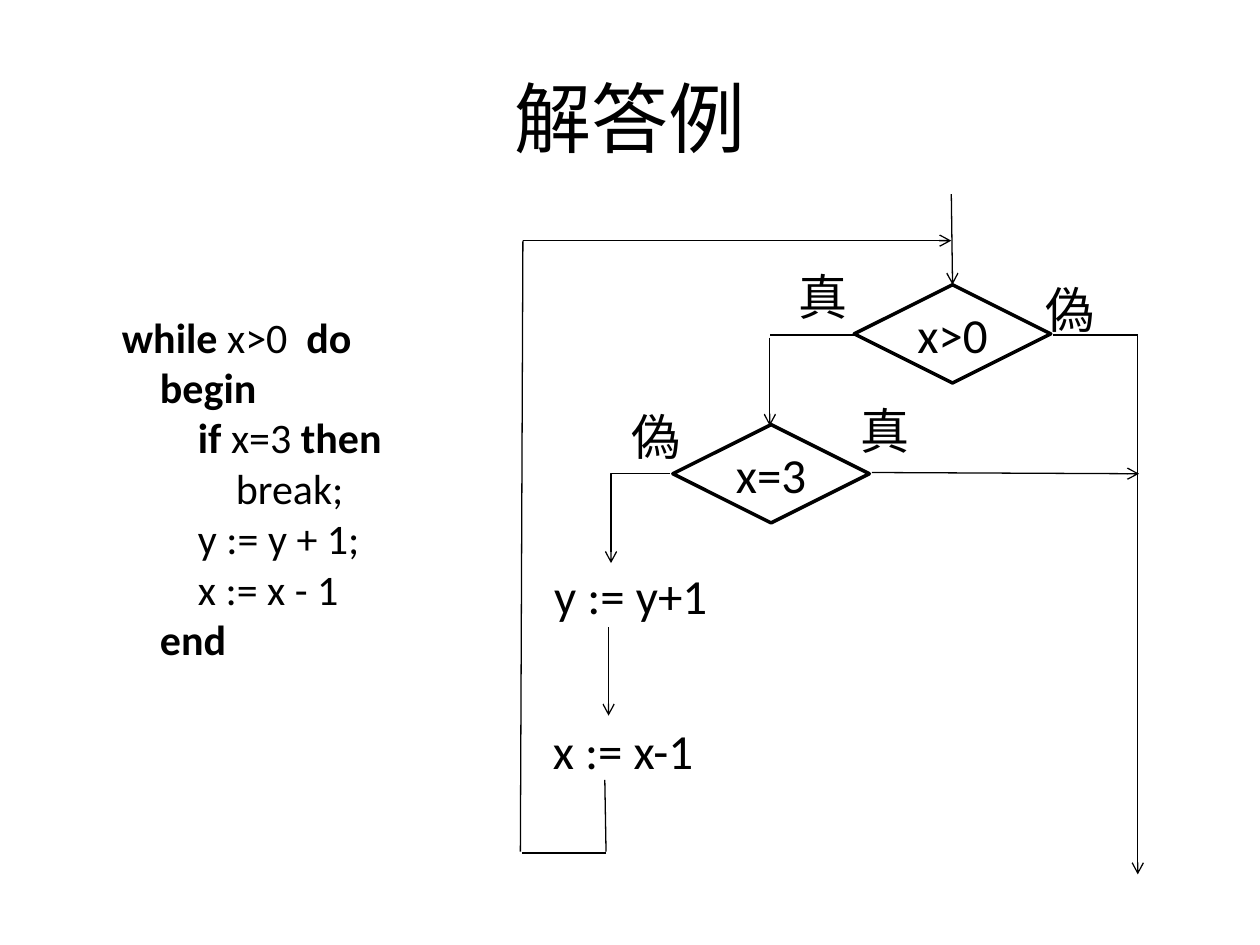
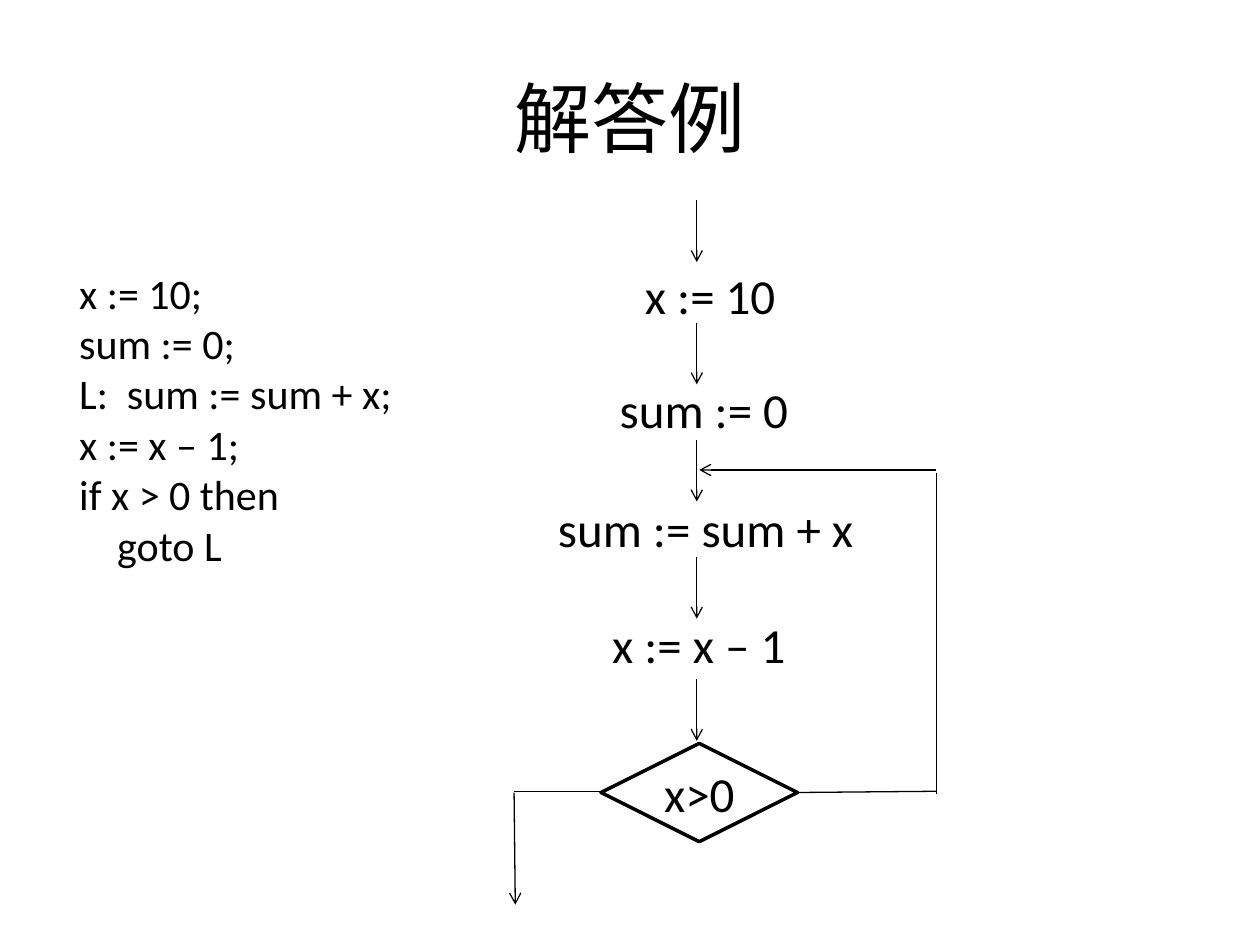
from lxml.etree import SubElement
from pptx import Presentation
from pptx.dml.color import RGBColor
from pptx.enum.shapes import MSO_CONNECTOR, MSO_SHAPE
from pptx.enum.text import MSO_ANCHOR, MSO_AUTO_SIZE, PP_ALIGN
from pptx.oxml.ns import qn
from pptx.util import Inches, Pt

BLACK = RGBColor(0, 0, 0)
FONT = "Calibri"
TITLE_SIZE, FLOW_SIZE, CODE_SIZE = 44, 28, 24
DIAMOND_WIDTH, DIAMOND_HEIGHT = 1.56, 0.78
LABEL_HEIGHT = 0.57
STEP_X, STEP_ARROW_LENGTH = 5.53, 0.49
STEP_ARROW_TOPS = [1.59, 2.56, 3.49, 4.42, 5.39]

SLIDES = [
    {
        "title": "解答例",
        "code_box": (0.87, 2.42, 2.56, 2.93),
        "code": [
            "*while* x>0  *do*",
            "*    begin*",
            "        *if* x=3 *then*",
            "            break;",
            "        y := y + 1;",
            "        x := x - 1",
            "    *end*",
        ],
        "decisions": [("x>0", 7.56, 2.65), ("x=3", 6.12, 3.76)],
        "labels": [
            ("真", 6.24, 2.07, 0.59),
            ("偽", 8.2, 2.17, 0.59),
            ("偽", 4.91, 3.18, 0.59),
            ("真", 6.73, 3.13, 0.59),
            ("y := y+1", 4.3, 4.44, 1.43),
            ("x := x-1", 4.29, 5.67, 1.34),
        ],
        "lines": [
            (9.03, 2.66, 8.36, 2.66),
            (6.78, 2.66, 6.11, 2.66),
            (4.8, 6.19, 4.81, 6.76),
            (4.81, 6.77, 4.14, 6.77),
            (4.15, 1.91, 4.13, 6.76),
        ],
        "arrows": [
            (7.55, 1.54, 7.56, 2.26),
            (9.03, 2.66, 9.03, 6.94),
            (6.11, 2.68, 6.11, 3.38),
            (6.92, 3.75, 9.04, 3.76),
            (4.83, 4.98, 4.83, 5.68),
            (4.15, 1.91, 7.55, 1.91),
        ],
        "corner_arrows": [(5.32, 3.76, 4.85, 4.47)],
    },
    {
        "title": "解答例",
        "code_box": (0.53, 2.07, 2.72, 2.52),
        "code": [
            "x := 10;",
            "sum := 0;",
            "L:  sum := sum + x;",
            "x := x – 1;",
            "if x > 0 then",
            "    goto L",
        ],
        "decisions": [("x>0", 5.55, 6.29)],
        "labels": [
            ("x := 10", 5.02, 2.06, 1.25),
            ("sum := 0", 4.82, 2.96, 1.56),
            ("sum := sum + x", 4.33, 3.91, 2.58),
            ("x := x – 1", 4.76, 4.83, 1.6),
        ],
        "lines": [
            (4.76, 6.28, 4.08, 6.28),
            (7.43, 6.28, 6.32, 6.29),
            (7.43, 3.75, 7.43, 6.3),
        ],
        "arrows": [
            (STEP_X, top, STEP_X, top + STEP_ARROW_LENGTH) for top in STEP_ARROW_TOPS
        ] + [(4.08, 6.29, 4.09, 7.18), (7.43, 3.73, 5.55, 3.73)],
        "corner_arrows": [],
    },
]


def format_font(font, size, bold=False):
    font.name = FONT
    font.size = Pt(size)
    font.bold = bold
    font.color.rgb = BLACK


def add_title(slide, text):
    title = slide.shapes.title
    title.left, title.top, title.width, title.height = map(Inches, (0.5, 0.3, 9, 1.25))
    title.text_frame.text = text
    title.text_frame.vertical_anchor = MSO_ANCHOR.MIDDLE
    paragraph = title.text_frame.paragraphs[0]
    paragraph.alignment = PP_ALIGN.CENTER
    format_font(paragraph.runs[0].font, TITLE_SIZE)


def add_code(slide, box, code_lines):
    text_frame = slide.shapes.add_textbox(*map(Inches, box)).text_frame
    text_frame.word_wrap = True
    for index, code_line in enumerate(code_lines):
        paragraph = text_frame.add_paragraph() if index else text_frame.paragraphs[0]
        for part_index, part in enumerate(code_line.split("*")):
            if part:
                run = paragraph.add_run()
                run.text = part
                format_font(run.font, CODE_SIZE, bold=part_index % 2 == 1)


def add_label(slide, text, left, top, width):
    box = map(Inches, (left, top, width, LABEL_HEIGHT))
    text_frame = slide.shapes.add_textbox(*box).text_frame
    text_frame.word_wrap = False
    text_frame.auto_size = MSO_AUTO_SIZE.SHAPE_TO_FIT_TEXT
    text_frame.text = text
    format_font(text_frame.paragraphs[0].runs[0].font, FLOW_SIZE)


def add_decision(slide, text, center_x, center_y):
    box = (center_x - DIAMOND_WIDTH / 2, center_y - DIAMOND_HEIGHT / 2,
           DIAMOND_WIDTH, DIAMOND_HEIGHT)
    shape = slide.shapes.add_shape(MSO_SHAPE.DIAMOND, *map(Inches, box))
    shape.shadow.inherit = False
    shape.fill.background()
    shape.line.color.rgb = BLACK
    shape.line.width = Pt(2)
    text_frame = shape.text_frame
    text_frame.word_wrap = False
    text_frame.vertical_anchor = MSO_ANCHOR.MIDDLE
    text_frame.text = text
    paragraph = text_frame.paragraphs[0]
    paragraph.alignment = PP_ALIGN.CENTER
    format_font(paragraph.runs[0].font, FLOW_SIZE)


def add_line(slide, ends, arrow=False, corner=False):
    kind = MSO_CONNECTOR.ELBOW if corner else MSO_CONNECTOR.STRAIGHT
    connector = slide.shapes.add_connector(kind, *map(Inches, ends))
    connector.line.color.rgb = BLACK
    connector.line.width = Pt(0.75)
    properties = connector._element.spPr
    if corner:
        properties.find(qn("a:prstGeom")).set("prst", "bentConnector2")
    if arrow:
        SubElement(properties.find(qn("a:ln")), qn("a:tailEnd"), type="arrow")
    SubElement(properties, qn("a:effectLst"))


def build_slide(presentation, content):
    slide = presentation.slides.add_slide(presentation.slide_layouts[5])
    add_title(slide, content["title"])
    add_code(slide, content["code_box"], content["code"])
    for decision in content["decisions"]:
        add_decision(slide, *decision)
    for label in content["labels"]:
        add_label(slide, *label)
    for ends in content["lines"]:
        add_line(slide, ends)
    for ends in content["arrows"]:
        add_line(slide, ends, arrow=True)
    for ends in content["corner_arrows"]:
        add_line(slide, ends, arrow=True, corner=True)


def main():
    presentation = Presentation()
    presentation.slide_width = Inches(10)
    presentation.slide_height = Inches(7.5)
    for content in SLIDES:
        build_slide(presentation, content)
    presentation.save("out.pptx")


if __name__ == "__main__":
    main()
